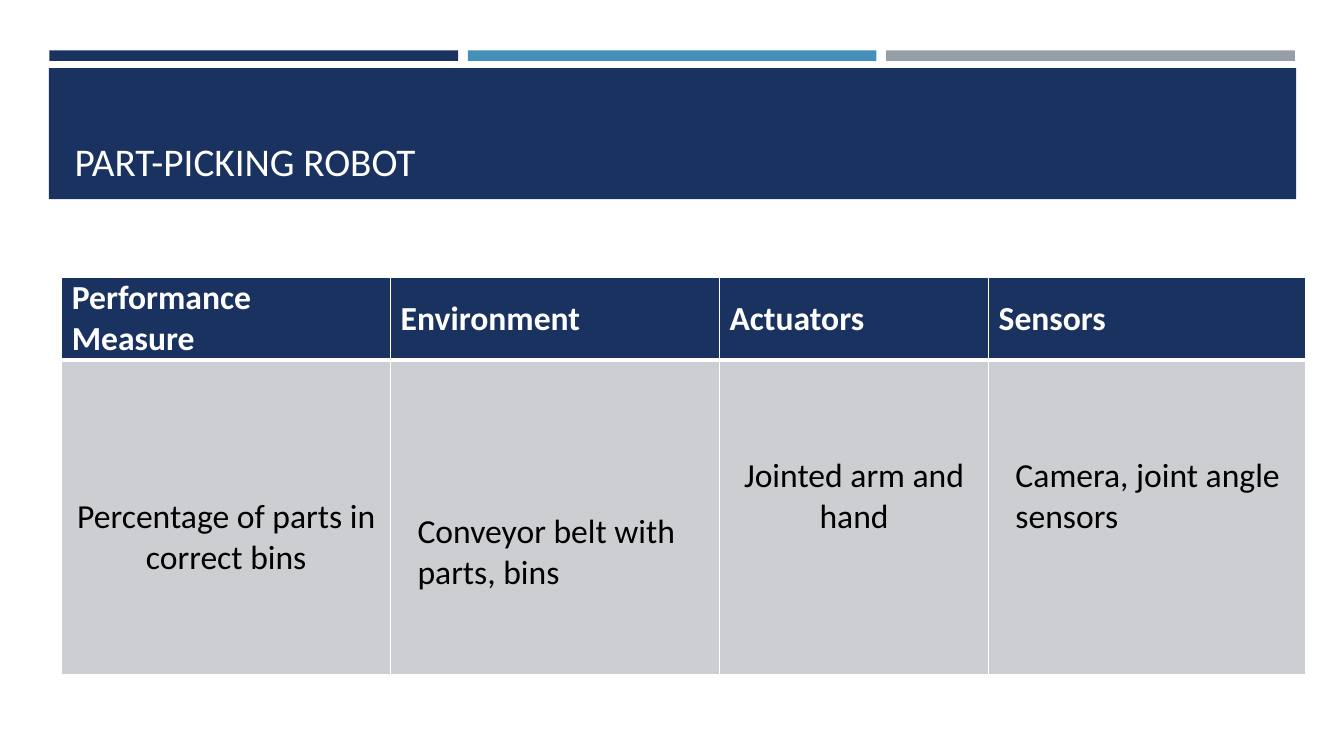
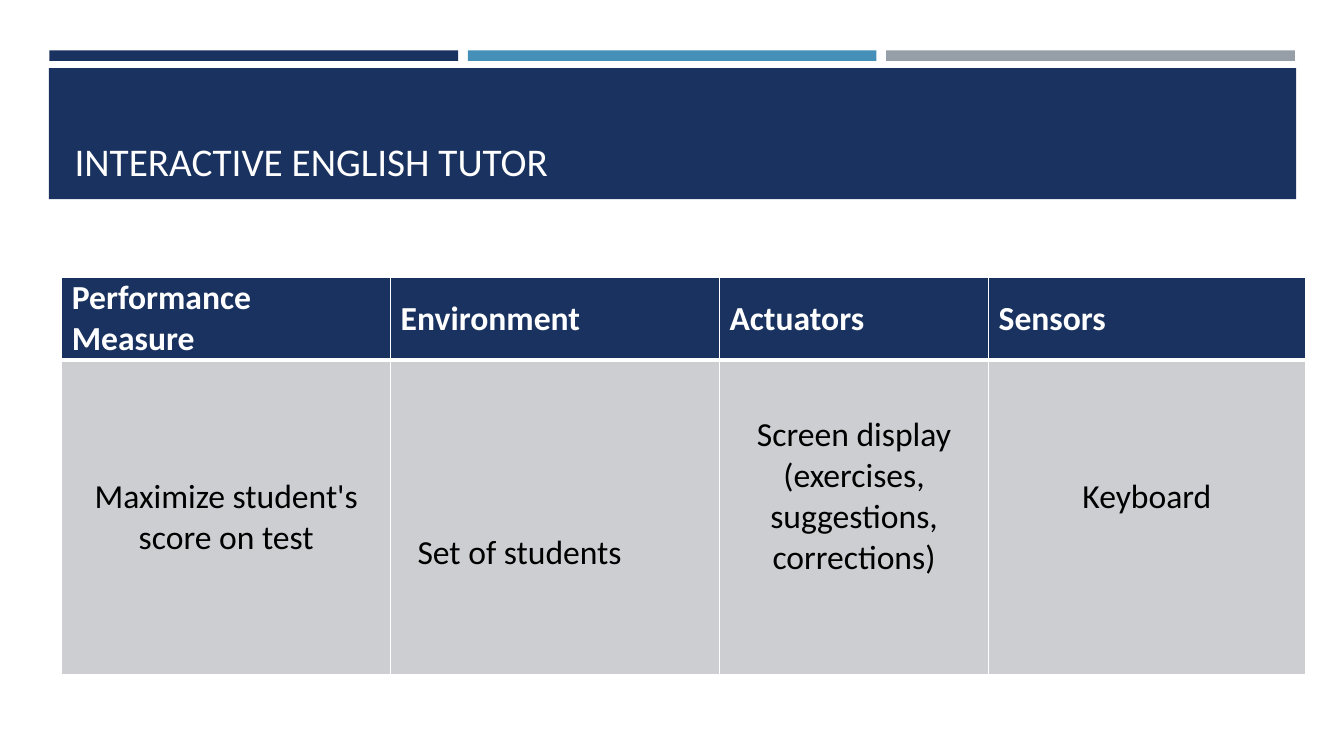
"""Build two slides that describe agents by their task environment."""
from dataclasses import dataclass

from lxml.etree import SubElement
from pptx import Presentation
from pptx.dml.color import RGBColor
from pptx.enum.shapes import MSO_SHAPE
from pptx.enum.text import MSO_ANCHOR, PP_ALIGN
from pptx.oxml.ns import qn
from pptx.util import Emu, Inches, Pt


@dataclass(frozen=True)
class Theme:
    """Hold the colours, font and type sizes of the deck."""
    navy: str = "1A3260"
    blue: str = "4590B8"
    grey: str = "969FA7"
    pale: str = "CDCED2"
    white: str = "FFFFFF"
    black: str = "000000"
    font: str = "Calibri"
    title: int = 28
    body: int = 24


THEME = Theme()
WIDE, HIGH = Inches(13.33), Inches(7.5)
COLS = (24.47, 24.47, 20.02, 23.56)
ROWS = (10.75, 41.6)
HEADS = ("Performance Measure", "Environment", "Actuators", "Sensors")
MID, LEFT = PP_ALIGN.CENTER, PP_ALIGN.LEFT
LOW, LOWER, UP = 5.4, 9.4, -5.4
SLIDES = (
    ("PART-PICKING ROBOT", (
        ("Percentage of parts in correct bins", MID, LOW),
        ("Conveyor belt with parts, bins", LEFT, LOWER),
        ("Jointed arm and hand", MID, UP),
        ("Camera, joint angle sensors", LEFT, UP))),
    ("INTERACTIVE ENGLISH TUTOR", (
        ("Maximize student's score on test", MID, 0),
        ("Set of students", LEFT, LOWER),
        ("Screen display (exercises, suggestions, corrections)", MID, UP),
        ("Keyboard", MID, UP))),
)


def across(share):
    """Turn a percentage of the slide's width into a length."""
    return Emu(round(WIDE * share / 100))


def down(share):
    """Turn a percentage of the slide's height into a length."""
    return Emu(round(HIGH * share / 100))


def box(x, y, w, h):
    """Turn percentages into left, top, width and height."""
    return across(x), down(y), across(w), down(h)


def write(frame, text, size, hue, bold=False, align=LEFT):
    """Put one styled paragraph in a text frame."""
    frame.text = text
    para = frame.paragraphs[0]
    para.alignment = align
    font = para.runs[0].font
    font.name, font.size, font.bold = THEME.font, Pt(size), bold
    font.color.rgb = RGBColor.from_string(hue)


def add_band(slide, place, hue):
    """Draw a plain filled bar."""
    band = slide.shapes.add_shape(MSO_SHAPE.RECTANGLE, *place)
    band.shadow.inherit = False
    band.fill.solid()
    band.fill.fore_color.rgb = RGBColor.from_string(hue)
    band.line.fill.background()
    return band


def dress(layout, slide):
    """Give the layout its bands and its title place."""
    bands = [add_band(slide, box(3.68 + 31.13 * i, 6.67, 30.4, 1.4), hue)
             for i, hue in enumerate((THEME.navy, THEME.blue, THEME.grey))]
    bands.append(add_band(slide, box(3.64, 9, 92.8, 17.33), THEME.navy))
    for i, band in enumerate(bands):
        band.element.nvSpPr.cNvPr.set("id", str(100 + i))
        layout.shapes.element.insert(2 + i, band.element)
    title = layout.placeholders[0]
    title.left, title.top, title.width, title.height = box(
        4.8, 10.27, 90.5, 14.8)


def add_title(slide, text):
    """Write the slide title at the foot of its band."""
    frame = slide.shapes.title.text_frame
    write(frame, text, THEME.title, THEME.white)
    frame.vertical_anchor = MSO_ANCHOR.BOTTOM


def edge(cell, sides):
    """Draw white cell borders, given the points for each side."""
    props = cell._tc.get_or_add_tcPr()
    for side, size in sides.items():
        line = SubElement(props, qn(f"a:ln{side}"), w=str(Pt(size)))
        fill = SubElement(line, qn("a:solidFill"))
        SubElement(fill, qn("a:srgbClr"), val=THEME.white)


def style(cell, hue, left, right=0, shift=0):
    """Fill a cell and set its margins, moving text down by shift."""
    cell.fill.solid()
    cell.fill.fore_color.rgb = RGBColor.from_string(hue)
    cell.vertical_anchor = MSO_ANCHOR.MIDDLE
    cell.margin_left, cell.margin_right = across(left), across(right)
    cell.margin_top = down(max(shift, 0))
    cell.margin_bottom = down(max(-shift, 0))


def add_grid(slide, facts):
    """Add the table with one head row and one row of facts."""
    place = box(4.6, 36.75, sum(COLS), sum(ROWS))
    grid = slide.shapes.add_table(len(ROWS), len(COLS), *place).table
    for row, share in zip(grid.rows, ROWS):
        row.height = down(share)
    for i, (share, head, fact) in enumerate(zip(COLS, HEADS, facts)):
        grid.columns[i].width = across(share)
        top, low = grid.cell(0, i), grid.cell(1, i)
        edge(top, {"L": 1, "R": 1, "T": 1, "B": 3})
        edge(low, {"L": 1, "R": 1, "T": 3, "B": 1})
        style(top, THEME.navy, 0.75, 2)
        write(top.text_frame, head, THEME.body, THEME.white, True)
        text, align, shift = fact
        style(low, THEME.pale, 2 if align == LEFT else 0, 0, shift)
        write(low.text_frame, text, THEME.body, THEME.black, align=align)


def main():
    """Build and save the deck."""
    deck = Presentation()
    deck.slide_width, deck.slide_height = WIDE, HIGH
    layout = deck.slide_layouts[5]
    for i, (title, facts) in enumerate(SLIDES):
        slide = deck.slides.add_slide(layout)
        if i == 0:
            dress(layout, slide)
        add_title(slide, title)
        add_grid(slide, facts)
    deck.save("out.pptx")


if __name__ == "__main__":
    main()
